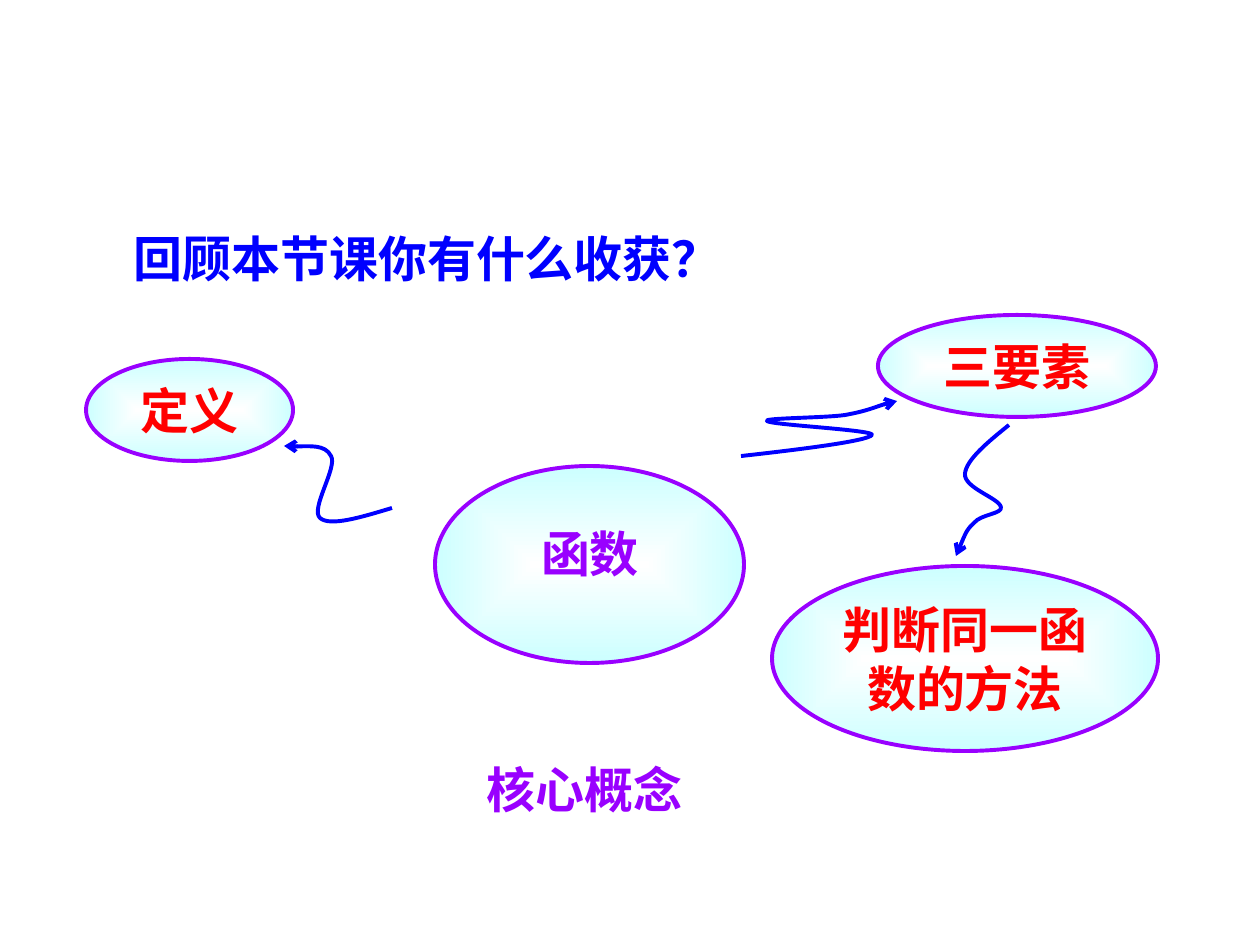
from pptx import Presentation
from pptx import util as u
from pptx.dml.color import RGBColor
from pptx.enum import shapes, text
from pptx.oxml import parse_xml
from pptx.oxml.ns import nsdecls, qn

PX = 914400 / 126
BLUE, PURPLE, RED = "0000FF", "9900FF", "FF0000"
WHITE, CYAN = "FFFFFF", "CCFFFF"
CJK = "Noto Sans CJK SC"
SERIF = "Times New Roman"


def color(value):
    return RGBColor.from_string(value)


def px(*values):
    return [u.Emu(round(value * PX)) for value in values]


class ConceptMap:
    def __init__(self, deck):
        self.page = deck.slides.add_slide(deck.slide_layouts[5])
        self.size = u.Pt(28)
        self.weight = u.Pt(2.25)

    def set_words(self, shape, words, font, ink, align, anchor):
        frame = shape.text_frame
        frame.text = words
        frame.word_wrap = True
        frame.auto_size = text.MSO_AUTO_SIZE.NONE
        frame.vertical_anchor = anchor
        para = frame.paragraphs[0]
        para.alignment = align
        for span in para.runs:
            span.font.name = font
            span.font.size = self.size
            span.font.bold = True
            span.font.color.rgb = color(ink)
            latin = span.font._element.find(qn("a:latin"))
            latin.addnext(parse_xml(f'<a:ea {nsdecls("a")} typeface="{CJK}"/>'))

    def outline(self, shape, ink):
        shape.shadow.inherit = False
        shape.line.color.rgb = color(ink)
        shape.line.width = self.weight

    def title(self, words, *area):
        box = self.page.shapes.title
        box.left, box.top, box.width, box.height = px(*area)
        self.set_words(box, words, "Arial", BLUE, text.PP_ALIGN.LEFT, text.MSO_ANCHOR.TOP)

    def label(self, words, *area):
        box = self.page.shapes.add_textbox(*px(*area))
        self.set_words(box, words, SERIF, PURPLE, text.PP_ALIGN.CENTER, text.MSO_ANCHOR.TOP)

    def bubble(self, words, *area):
        oval = self.page.shapes.add_shape(shapes.MSO_SHAPE.OVAL, *px(*area))
        self.outline(oval, PURPLE)
        oval.fill.gradient()
        for stop, ink, position in zip(oval.fill.gradient_stops, (WHITE, CYAN), (0, 1)):
            stop.color.rgb = color(ink)
            stop.position = position
        linear = oval._element.spPr.find(qn("a:gradFill")).find(qn("a:lin"))
        linear.getparent().replace(linear, parse_xml(
            f'<a:path {nsdecls("a")} path="rect">'
            '<a:fillToRect l="50000" t="50000" r="50000" b="50000"/></a:path>'))
        if words:
            self.set_words(oval, words, CJK, RED, text.PP_ALIGN.CENTER, text.MSO_ANCHOR.MIDDLE)

    def curved_arrow(self, start, *points):
        builder = self.page.shapes.build_freeform(*start, scale=PX)
        builder.add_line_segments(points, close=False)
        curve = builder.convert_to_shape()
        curve.fill.background()
        self.outline(curve, BLUE)
        properties = curve._element.spPr
        lines = list(properties.iter(qn("a:lnTo")))
        for index in range(0, len(lines), 3):
            bezier = parse_xml(f'<a:cubicBezTo {nsdecls("a")}/>')
            lines[index].addprevious(bezier)
            for line in lines[index:index + 3]:
                bezier.append(line[0])
                line.getparent().remove(line)
        properties.find(qn("a:ln")).append(
            parse_xml(f'<a:tailEnd {nsdecls("a")} type="arrow"/>'))


def main():
    deck = Presentation()
    deck.slide_width, deck.slide_height = px(1260, 945)
    concepts = ConceptMap(deck)
    concepts.title("回顾本节课你有什么收获？", 121, 222, 733, 72)
    concepts.bubble("", 435, 466, 309, 197)
    concepts.label("函数", 445, 517, 290, 72)
    concepts.curved_arrow(
        (392, 508), (362, 517), (330, 527), (320, 518),
        (310, 509), (338, 467), (331, 456),
        (325, 444), (291, 447), (284, 446))
    concepts.bubble("定义", 86, 359, 207, 102)
    concepts.label("核心概念", 452, 753, 265, 72)
    concepts.curved_arrow(
        (741, 456), (804, 449), (867, 441), (872, 435),
        (876, 430), (771, 425), (767, 421),
        (762, 418), (824, 418), (845, 415),
        (867, 411), (888, 402), (897, 401))
    concepts.bubble("判断同一函数的方法", 772, 566, 386, 185)
    concepts.curved_arrow(
        (1009, 425), (988, 442), (966, 460), (965, 474),
        (964, 488), (999, 498), (1001, 507),
        (1003, 514), (981, 514), (974, 523),
        (966, 530), (959, 549), (956, 556))
    concepts.bubble("三要素", 878, 315, 278, 102)
    deck.save("out.pptx")


if __name__ == "__main__":
    main()
